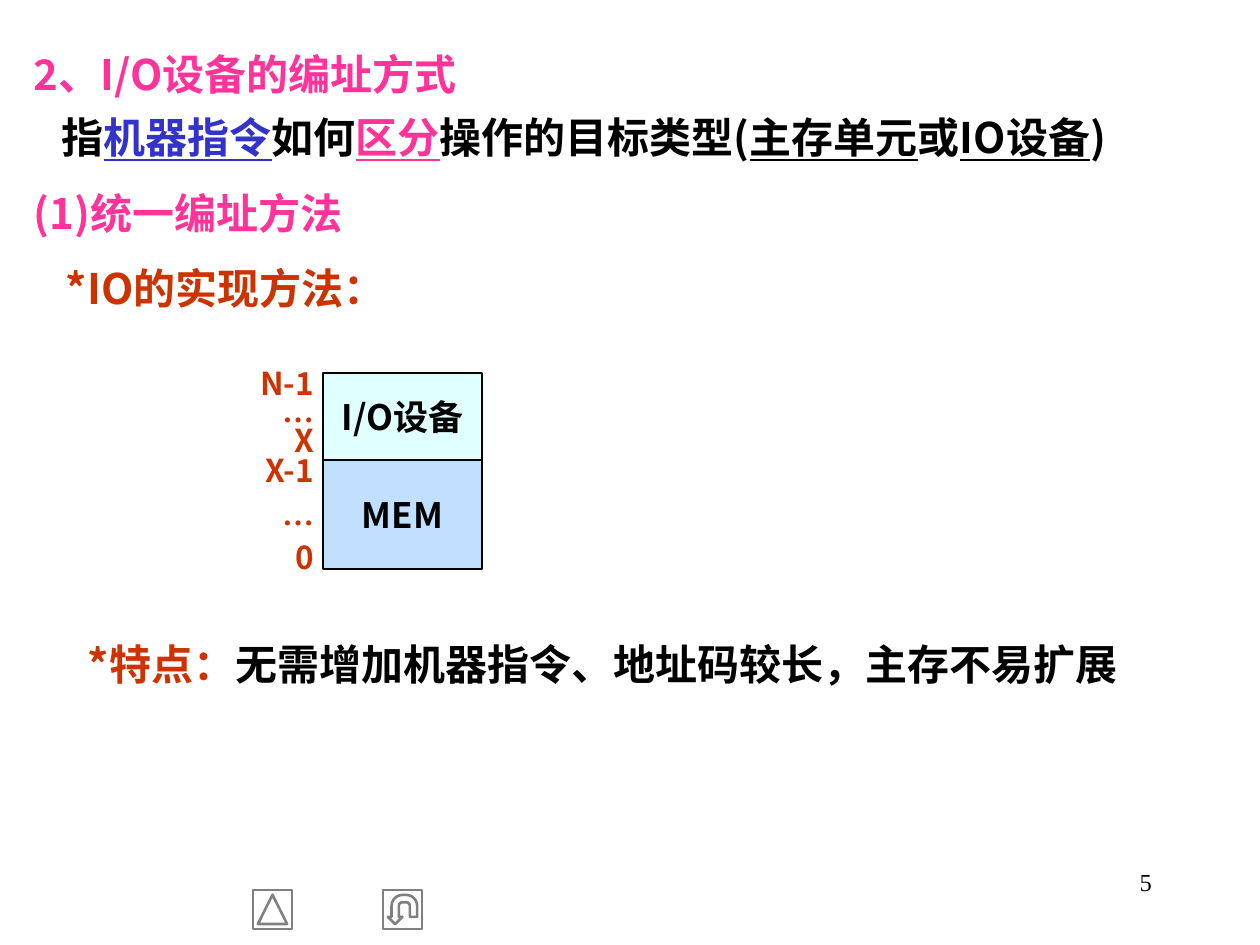
from dataclasses import dataclass

from lxml import etree
from pptx import Presentation
from pptx.dml.color import RGBColor
from pptx.enum.shapes import MSO_SHAPE
from pptx.enum.text import MSO_ANCHOR as Anchor, MSO_AUTO_SIZE as AutoSize, PP_ALIGN as Align
from pptx.oxml.ns import qn
from pptx.util import Emu, Pt

SLIDE_W, SLIDE_H = 1260, 945
EMU_PER_PX = 914400 / 126


@dataclass(frozen=True)
class Theme:
    sans: str = "Noto Sans CJK SC"
    serif: str = "Times New Roman"
    ink: str = "000000"
    pink: str = "FF3399"
    blue: str = "3333CC"
    rust: str = "CC3300"
    grey: str = "808080"
    memory_fill: str = "99CCFF"
    device_fill: str = "CCFFFF"
    fill_alpha: int = 60
    heading: int = 24
    block: int = 20
    address: int = 18
    number: int = 14
    line: float = 1.5


THEME = Theme()


def px(length):
    return Emu(round(length * EMU_PER_PX))


def rgb(colour):
    return RGBColor.from_string(colour)


def place(shape, box):
    shape.left, shape.top, shape.width, shape.height = map(px, box)


def set_frame(shape, inset=(13, 6), anchor=Anchor.TOP, wrap=True):
    frame = shape.text_frame
    frame.auto_size = AutoSize.NONE
    frame.word_wrap = wrap
    frame.vertical_anchor = anchor
    frame.margin_left = frame.margin_right = px(inset[0])
    frame.margin_top = frame.margin_bottom = px(inset[1])
    return frame


def add_text_box(slide, box, **frame_options):
    text_box = slide.shapes.add_textbox(*map(px, box))
    return set_frame(text_box, **frame_options)


def add_run(paragraph, text, size, colour, face=THEME.sans, bold=True, underline=False):
    run = paragraph.add_run()
    run.text = text
    font = run.font
    font.size, font.bold, font.name = Pt(size), bold, face
    font.color.rgb = rgb(colour)
    if underline:
        font.underline = True
    latin = run._r.rPr.find(qn("a:latin"))
    east_asian = etree.Element(qn("a:ea"), typeface=face)
    latin.addnext(east_asian)


def format_line(paragraph, indent=0, spacing=Pt(36), before=0, align=Align.LEFT):
    """Remove the bullet, then set indent, line spacing and alignment."""
    properties = paragraph._p.get_or_add_pPr()
    properties.set("marL", str(px(indent)))
    properties.set("indent", "0")
    etree.SubElement(properties, qn("a:buNone"))
    paragraph.line_spacing = spacing
    paragraph.space_before = Pt(before)
    paragraph.alignment = align


def fill_title(slide, box):
    place(slide.shapes.title, box)
    heading = set_frame(slide.shapes.title).paragraphs[0]
    format_line(heading)
    add_run(heading, "2、I/O设备的编址方式", THEME.heading, THEME.pink)


def fill_body(slide, box):
    body = slide.placeholders[1]
    place(body, box)
    frame = set_frame(body)
    definition = [
        ("指", THEME.ink, False), ("机器指令", THEME.blue, True),
        ("如何", THEME.ink, False), ("区分", THEME.pink, True),
        ("操作的目标类型(", THEME.ink, False), ("主存单元", THEME.ink, True),
        ("或", THEME.ink, False), ("IO设备", THEME.ink, True), (")", THEME.ink, False),
    ]
    lines = [
        (28, 0, definition),
        (0, 7.2, [("(1)统一编址方法", THEME.pink, False)]),
        (32, 7.2, [("*IO的实现方法：", THEME.rust, False)]),
    ]
    for number, (indent, before, runs) in enumerate(lines):
        paragraph = frame.add_paragraph() if number else frame.paragraphs[0]
        format_line(paragraph, indent, before=before)
        for text, colour, underline in runs:
            add_run(paragraph, text, THEME.heading, colour, underline=underline)


def add_block(slide, box, label, colour):
    block = slide.shapes.add_shape(MSO_SHAPE.RECTANGLE, *map(px, box))
    block.shadow.inherit = False
    block.fill.solid()
    block.fill.fore_color.rgb = rgb(colour)
    solid = block._element.spPr.find(qn("a:solidFill"))
    etree.SubElement(solid[0], qn("a:alpha"), val=str(THEME.fill_alpha * 1000))
    block.line.color.rgb = rgb(THEME.ink)
    block.line.width = Pt(THEME.line)
    paragraph = set_frame(block, (2, 1), Anchor.MIDDLE).paragraphs[0]
    paragraph.alignment = Align.CENTER
    add_run(paragraph, label, THEME.block, THEME.ink)


def add_address_map(slide, box):
    """Address labels on the left, the stacked address space on the right."""
    left, top, width, height = box
    label_w, block_x, block_y, device_h = 63, 70, 10, 87
    block_w = width - block_x
    memory_y = block_y + device_h
    add_block(slide, (left + block_x, top + memory_y, block_w, height - memory_y),
              "MEM", THEME.memory_fill)
    add_block(slide, (left + block_x, top + block_y, block_w, device_h),
              "I/O设备", THEME.device_fill)

    frame = add_text_box(slide, (left, top, label_w, height), inset=(2, 1))
    addresses = [("N-1", 1.0), ("…", 0.7), ("X", 0.8), ("X-1", 0.8), ("…", 1.15), ("0", 1.15)]
    for number, (address, spacing) in enumerate(addresses):
        paragraph = frame.add_paragraph() if number else frame.paragraphs[0]
        format_line(paragraph, spacing=spacing, align=Align.RIGHT)
        face = THEME.serif if address == "…" else THEME.sans
        add_run(paragraph, address, THEME.address, THEME.rust, face)


def add_features(slide, box):
    paragraph = add_text_box(slide, box).paragraphs[0]
    format_line(paragraph, spacing=Pt(33))
    add_run(paragraph, "*特点：", THEME.heading, THEME.rust)
    add_run(paragraph, "无需增加机器指令、地址码较长，主存不易扩展", THEME.heading, THEME.ink)


def add_navigation(slide, box):
    left, top, width, side = box
    buttons = [
        (left, MSO_SHAPE.ACTION_BUTTON_BACK_OR_PREVIOUS, 90),
        (left + width - side, MSO_SHAPE.ACTION_BUTTON_RETURN, 180),
    ]
    for x, kind, rotation in buttons:
        button = slide.shapes.add_shape(kind, px(x), px(top), px(side), px(side))
        button.shadow.inherit = False
        button.rotation = rotation
        button.fill.background()
        button.line.color.rgb = rgb(THEME.grey)
        button.line.width = Pt(THEME.line)


def add_page_number(slide, box):
    paragraph = add_text_box(slide, box).paragraphs[0]
    paragraph.alignment = Align.RIGHT
    add_run(paragraph, "5", THEME.number, THEME.ink, THEME.serif, bold=False)


def main():
    deck = Presentation()
    deck.slide_width, deck.slide_height = px(SLIDE_W), px(SLIDE_H)
    slide = deck.slides.add_slide(deck.slide_layouts[1])
    fill_title(slide, (21, 30, 1215, 76))
    fill_body(slide, (21, 93, 1215, 228))
    add_address_map(slide, (253, 363, 229, 206))
    add_features(slide, (75, 625, 1170, 71))
    add_navigation(slide, (253, 890, 169, 39))
    add_page_number(slide, (903, 861, 262, 63))
    deck.save("out.pptx")


if __name__ == "__main__":
    main()
